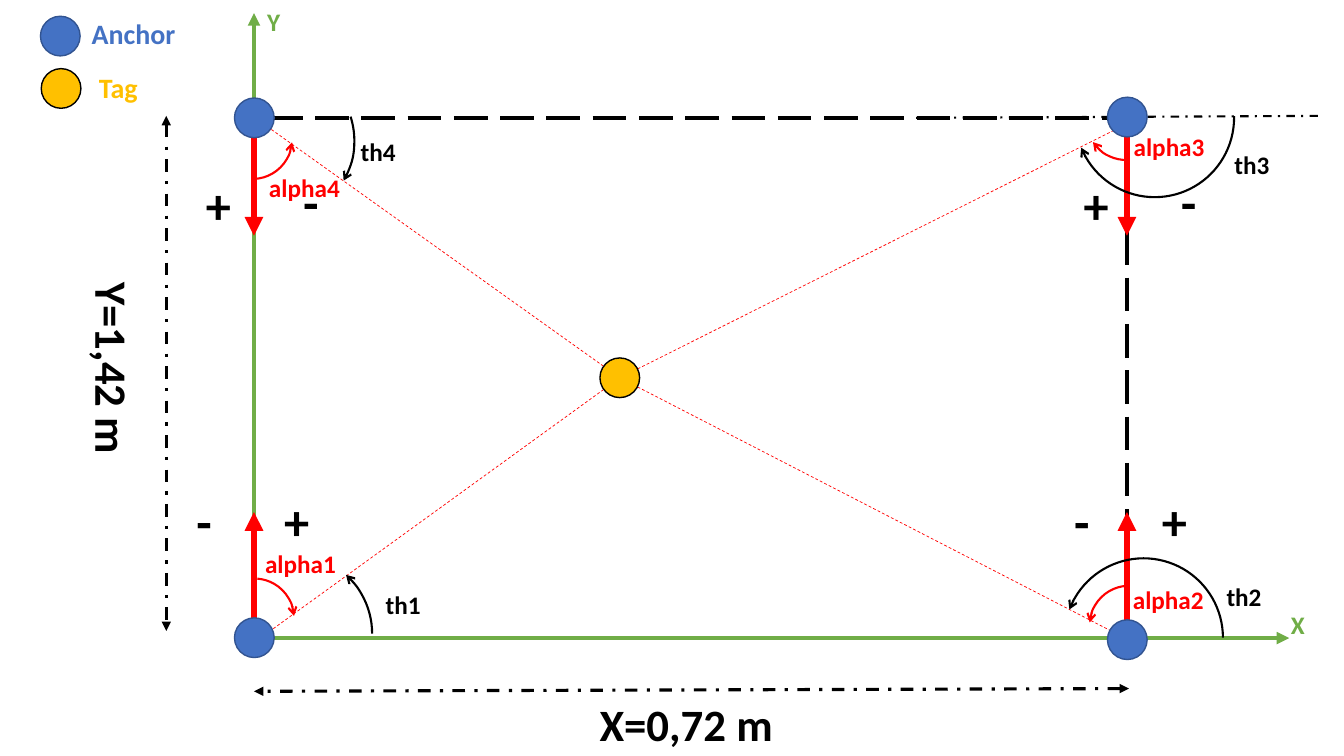
from pptx import Presentation
from pptx import util as u
from pptx.dml.color import RGBColor
from pptx.enum import dml, shapes, text
from pptx.oxml import ns, xmlchemy

BLACK, RED, GREEN, BLUE, NAVY, AMBER = (
    "000000", "FF0000", "70AD47", "4472C4", "325491", "FFC000")
DASH = dml.MSO_LINE
SHAPE = shapes.MSO_SHAPE


def rgb(value):
    return RGBColor.from_string(value)


class Diagram:
    """Style and current slide; all lengths are centimetres."""
    font = "Calibri"
    marker_size = 1

    def __init__(self, page):
        self.page = page

    def stroke(self, item, color, width, dash=None, head=None, tail=None):
        item.line.color.rgb = rgb(color)
        item.line.width = u.Pt(width)
        if dash:
            item.line.dash_style = dash
        outline = item.element.spPr.find(ns.qn("a:ln"))
        for tag, kind in (("a:headEnd", head), ("a:tailEnd", tail)):
            if kind:
                end = xmlchemy.OxmlElement(tag)
                end.set("type", kind)
                outline.append(end)

    def line(self, start, finish, color, width, **style):
        connector = self.page.shapes.add_connector(
            shapes.MSO_CONNECTOR.STRAIGHT, *map(u.Cm, start + finish))
        self.stroke(connector, color, width, **style)
        connector.element.spPr.append(xmlchemy.OxmlElement("a:effectLst"))

    def shape(self, kind, left, top, width, height, fill=None):
        item = self.page.shapes.add_shape(
            kind, *map(u.Cm, (left, top, width, height)))
        item.shadow.inherit = False
        if fill:
            item.fill.solid()
            item.fill.fore_color.rgb = rgb(fill)
        else:
            item.fill.background()
        return item

    def marker(self, center, fill, border):
        size = self.marker_size
        dot = self.shape(SHAPE.OVAL, center[0] - size / 2,
                         center[1] - size / 2, size, size, fill)
        self.stroke(dot, border, 1)

    def arc(self, left, top, size, color, angles, rotation=0, **ends):
        curve = self.shape(SHAPE.ARC, left, top, size, size)
        curve.adjustments[0], curve.adjustments[1] = angles
        curve.rotation = rotation
        self.stroke(curve, color, 1.5, **ends)

    def label(self, wording, left, top, width, height, size, color,
              rotation=0):
        box = self.page.shapes.add_textbox(
            *map(u.Cm, (left, top, width, height)))
        box.rotation = rotation
        box.text_frame.word_wrap = True
        box.text_frame.auto_size = text.MSO_AUTO_SIZE.SHAPE_TO_FIT_TEXT
        para = box.text_frame.paragraphs[0]
        para.text = wording
        para.font.name = self.font
        para.font.size = u.Pt(size)
        para.font.bold = True
        para.font.color.rgb = rgb(color)


deck = Presentation()
deck.slide_width, deck.slide_height = u.Cm(33.87), u.Cm(19.05)
diagram = Diagram(deck.slides.add_slide(deck.slide_layouts[6]))

LEFT, RIGHT, TOP, BOTTOM = 6.4, 28.4, 2.97, 16.08
TAG = (15.62, 9.52)

# Room outline and axes
room = diagram.shape(SHAPE.RECTANGLE, LEFT, TOP, RIGHT - LEFT, BOTTOM - TOP)
diagram.stroke(room, BLACK, 3, DASH.LONG_DASH)
diagram.line((LEFT, BOTTOM), (LEFT, 0.33), GREEN, 3, tail="triangle")
diagram.line((LEFT, BOTTOM), (32.49, BOTTOM), GREEN, 3, tail="triangle")

# Heading of each anchor
for x in (LEFT, RIGHT):
    for start, finish in ((TOP, 5.94), (15.93, 12.9)):
        diagram.line((x, start), (x, finish), RED, 4.5, tail="triangle")

# Rays from the tag to the anchors
for corner in ((LEFT, 2.95), (28.04, 3.3), (28.35, BOTTOM), (6.6, 16.05)):
    diagram.line(TAG, corner, RED, 0.5, dash=DASH.DASH)

# Signs on both sides of each heading
for x in (4.7, 26.82):
    for y, signs, rotation in ((12.22, "-+", 0), (4.45, "+-", 180)):
        for column, sign in enumerate(signs):
            diagram.label(sign, x + 2.21 * column, y, 1.37, 1.8, 36, BLACK,
                          rotation)

# Angles th (black) and alpha (red)
diagram.arc(26.82, 14.07, 4, BLACK, (120.48, 0), head="arrow")
diagram.arc(5.38, 13.97, 4, BLACK, (187.3, 0), head="arrow")
diagram.arc(4.93, 1.55, 4, BLACK, (187.3, 0), 30.1, tail="arrow")
diagram.arc(27.1, 0.97, 4, BLACK, (197.17, 76.65), 30.1, tail="arrow")
diagram.line((23.09, 2.97), (33.27, 2.92), BLACK, 1.5, dash=DASH.DASH_DOT)
diagram.arc(27.46, 14.76, 2, RED, (110.58, 160.03), head="arrow")
diagram.arc(5.36, 2.51, 2, RED, (110.58, 160.03), 180, head="arrow")
diagram.arc(5.41, 14.58, 2, RED, (110.58, 160.03), 90, tail="arrow")
diagram.arc(27.38, 2.03, 2, RED, (110.58, 145.44), 264.3, tail="arrow")

# Anchors, tag and legend markers
for center in ((6.41, 2.97), (6.41, 16.07), (28.41, 16.12), (28.41, 2.95),
               (1.52, 0.91)):
    diagram.marker(center, BLUE, NAVY)
for center in (TAG, (1.54, 2.23)):
    diagram.marker(center, AMBER, BLACK)

# Axis, angle and legend names
for wording, left, top, width, color in (
        ("Y", 6.48, 0.03, 1.96, GREEN),
        ("X", 32.28, 15.24, 1.96, GREEN),
        ("th4", 8.84, 3.3, 3.58, BLACK),
        ("th3", 30.86, 3.63, 3.58, BLACK),
        ("th2", 30.66, 14.53, 3.58, BLACK),
        ("th1", 9.47, 14.73, 3.58, BLACK),
        ("alpha4", 6.53, 4.22, 4.78, RED),
        ("alpha3", 28.32, 3.18, 4.78, RED),
        ("alpha2", 28.3, 14.6, 4.78, RED),
        ("alpha1", 6.43, 13.69, 4.78, RED)):
    diagram.label(wording, left, top, width, 1.02, 18, color)
diagram.label("Anchor", 2.06, 0.3, 3.94, 1.12, 20, BLUE)
diagram.label("Tag", 2.24, 1.65, 3.94, 1.12, 20, AMBER)

# Dimensions
for start, finish in (((4.19, 2.92), (4.19, 15.9)),
                      ((28.45, 17.35), (6.4, 17.42))):
    diagram.line(start, finish, BLACK, 2.25, dash=DASH.DASH_DOT,
                 head="triangle", tail="triangle")
diagram.label("X=0,72 m", 14.86, 17.42, 5.08, 1.63, 32, BLACK)
diagram.label("Y=1,42 m", 0.3, 8.59, 5.08, 1.63, 32, BLACK, 90)

deck.save("out.pptx")
